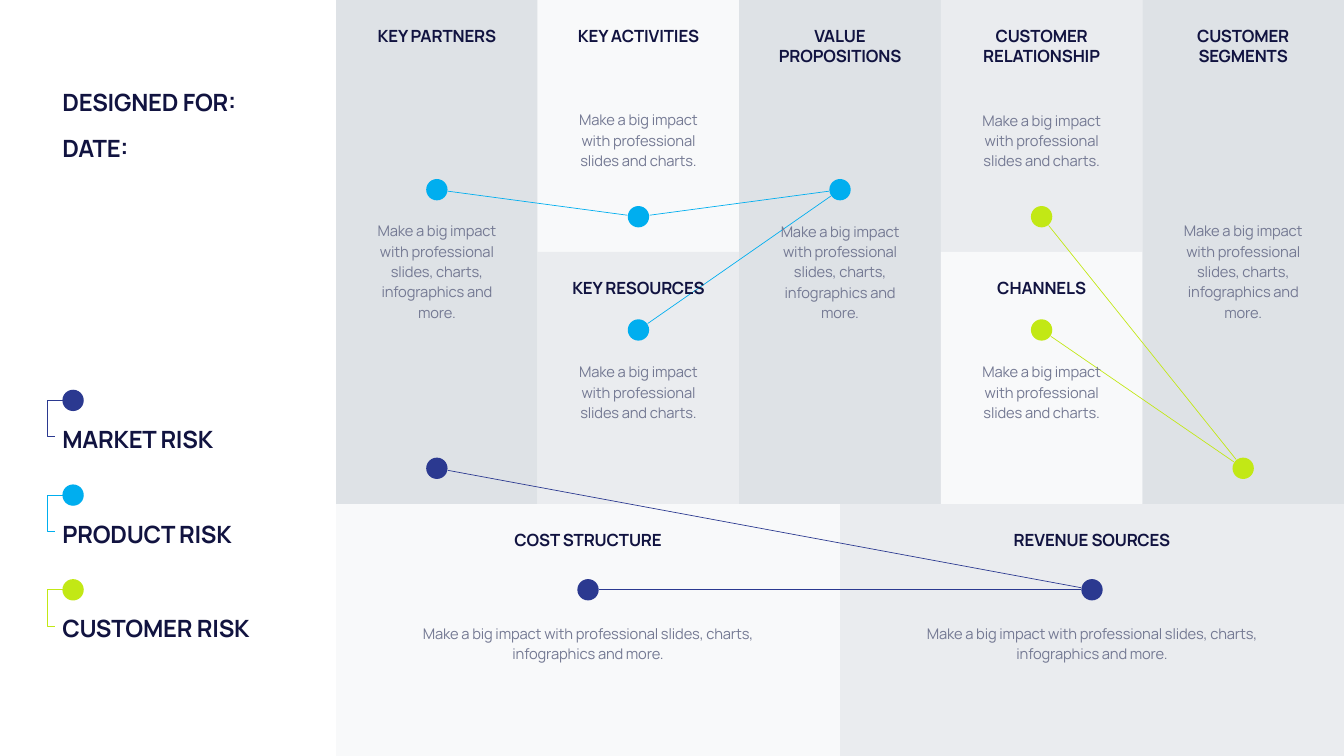
import math

import pptx
import pptx.dml.color
import pptx.enum.shapes
import pptx.enum.text
import pptx.oxml.ns
import pptx.util
from lxml import etree

Pt = pptx.util.Pt
Align = pptx.enum.text.PP_ALIGN
Anchor = pptx.enum.text.MSO_ANCHOR

FONT = "Manrope"
INK, GREY = "111340", "747993"
NAVY, BLUE, LIME = "2B3990", "00AEEF", "C2E815"
PALE, LIGHT, MID = "F8F9FA", "EAECEF", "DEE2E6"

WIDTH, HEIGHT = 1919.5, 1080
LEFT = 480
COLUMN = (WIDTH - LEFT) / 5
HALF = (WIDTH - LEFT) / 2
ROW = 360
DOT = 30.5
LINE_GAP = 16
BODY_LEADING = 29
SHORT = "Make a big impact with professional slides and charts."
LONG = "Make a big impact with professional slides, charts, infographics and more."

# title, first column, top row, row span, fill, body, body lines, body centre
COLUMN_CELLS = [
    ("KEY PARTNERS", 0, 0, 2, MID, LONG, 5, 386),
    ("KEY ACTIVITIES", 1, 0, 1, PALE, SHORT, 3, 198.5),
    ("KEY RESOURCES", 1, 1, 1, LIGHT, SHORT, 3, 558.5),
    ("VALUE\nPROPOSITIONS", 2, 0, 2, MID, LONG, 5, 386.5),
    ("CUSTOMER RELATIONSHIP", 3, 0, 1, LIGHT, SHORT, 3, 199),
    ("CHANNELS", 3, 1, 1, PALE, SHORT, 3, 558.5),
    ("CUSTOMER\nSEGMENTS", 4, 0, 2, MID, LONG, 5, 386),
]
HALF_CELLS = [("COST STRUCTURE", PALE), ("REVENUE SOURCES", LIGHT)]


def column_centre(column):
    return LEFT + (column + 0.5) * COLUMN


def half_centre(half):
    return LEFT + (half + 0.5) * HALF


# Each chain lists the dots that a risk links, in order
CHAINS = [
    (BLUE, [(column_centre(0), 271), (column_centre(1), 309.6),
            (column_centre(2), 271), (column_centre(1), 471.4)]),
    (NAVY, [(column_centre(0), 669), (half_centre(1), 842.5),
            (half_centre(0), 842.5)]),
    (LIME, [(column_centre(3), 309.6), (column_centre(4), 669),
            (column_centre(3), 471.4)]),
]
LEGEND = [("MARKET RISK", NAVY), ("PRODUCT RISK", BLUE), ("CUSTOMER RISK", LIME)]


def rgb(value):
    return pptx.dml.color.RGBColor.from_string(value)


def add_filled(page, kind, left, top, width, height, fill):
    shape = page.shapes.add_shape(kind, Pt(left), Pt(top), Pt(width), Pt(height))
    shape.shadow.inherit = False
    shape.fill.solid()
    shape.fill.fore_color.rgb = rgb(fill)
    shape.line.fill.background()


def add_panel(page, left, top, width, height, fill):
    add_filled(page, pptx.enum.shapes.MSO_SHAPE.RECTANGLE,
               left, top, width, height, fill)


def add_dot(page, x, y, color):
    add_filled(page, pptx.enum.shapes.MSO_SHAPE.OVAL,
               x - DOT / 2, y - DOT / 2, DOT, DOT, color)


def add_link(page, start, end, color):
    """Draw a line between two dots, stopping just short of each."""
    (x1, y1), (x2, y2) = start, end
    length = math.dist(start, end)
    dx, dy = LINE_GAP * (x2 - x1) / length, LINE_GAP * (y2 - y1) / length
    line = page.shapes.add_connector(
        pptx.enum.shapes.MSO_CONNECTOR.STRAIGHT,
        Pt(x1 + dx), Pt(y1 + dy), Pt(x2 - dx), Pt(y2 - dy))
    line.line.color.rgb = rgb(color)
    line.line.width = Pt(1)
    etree.SubElement(line._element.spPr, pptx.oxml.ns.qn("a:effectLst"))


def add_bracket(page, x, y, color):
    """Draw the open hook that joins a legend dot to its label."""
    builder = page.shapes.build_freeform(Pt(x), Pt(y))
    hook = [(x - 37.4, y), (x - 37.4, y + 52), (x - 26, y + 52)]
    builder.add_line_segments([(Pt(a), Pt(b)) for a, b in hook], close=False)
    shape = builder.convert_to_shape()
    shape.shadow.inherit = False
    shape.fill.background()
    shape.line.color.rgb = rgb(color)
    shape.line.width = Pt(1)


def add_text(page, text, left, top, width, height, size, color=INK, bold=True,
             align=Align.CENTER, anchor=Anchor.TOP, leading=None, tracking=-20):
    box = page.shapes.add_textbox(Pt(left), Pt(top), Pt(width), Pt(height))
    frame = box.text_frame
    frame.word_wrap = True
    frame.auto_size = pptx.enum.text.MSO_AUTO_SIZE.SHAPE_TO_FIT_TEXT
    frame.vertical_anchor = anchor
    frame.text = text
    for para in frame.paragraphs:
        para.alignment = align
        if leading:
            para.line_spacing = Pt(leading)
        font = para.font
        font.name, font.size, font.bold = FONT, Pt(size), bold
        font.color.rgb = rgb(color)
        font._rPr.set("spc", str(tracking))


def add_label(page, text, top, anchor=Anchor.TOP):
    add_text(page, text, 82, top, 324, 48, 34, align=Align.LEFT,
             anchor=anchor, tracking=-30)


def add_cell_text(page, title, body, centre, width, top, lines, body_centre):
    left = centre - width / 2
    title_height = 65.5 if title.startswith(("VALUE", "CUSTOMER")) else 36
    add_text(page, title, left, top + 33, width, title_height, 24)
    body_height = lines * BODY_LEADING + 7.2
    add_text(page, body, left, body_centre - body_height / 2, width, body_height,
             21, GREY, bold=False, anchor=Anchor.MIDDLE, leading=BODY_LEADING)


def add_panels(page):
    for half, (_, fill) in enumerate(HALF_CELLS):
        add_panel(page, LEFT + half * HALF, 2 * ROW, HALF, ROW, fill)
    for _, column, row, span, fill, *_ in COLUMN_CELLS:
        add_panel(page, LEFT + column * COLUMN, row * ROW, COLUMN, span * ROW, fill)


def add_chains(page):
    for color, dots in CHAINS:
        for x, y in dots:
            add_dot(page, x, y, color)
        for start, end in zip(dots, dots[1:]):
            add_link(page, start, end, color)


def add_legend(page):
    for index, (name, color) in enumerate(LEGEND):
        x, y = 104.4, 572 + 135.3 * index
        add_dot(page, x, y, color)
        add_bracket(page, x, y, color)
        add_label(page, name, y + 31.3)


def add_cell_texts(page):
    for title, column, row, _, _, body, lines, body_centre in COLUMN_CELLS:
        add_cell_text(page, title, body, column_centre(column), 215,
                      row * ROW, lines, body_centre)
    for half, (title, _) in enumerate(HALF_CELLS):
        add_cell_text(page, title, LONG, half_centre(half), 559.5,
                      2 * ROW, 2, 917.3)


def main():
    deck = pptx.Presentation()
    deck.slide_width, deck.slide_height = Pt(WIDTH), Pt(HEIGHT)
    page = deck.slides.add_slide(deck.slide_layouts[6])
    add_panels(page)
    add_chains(page)
    add_label(page, "DESIGNED FOR:", 121, Anchor.MIDDLE)
    add_label(page, "DATE:", 187, Anchor.MIDDLE)
    add_legend(page)
    add_cell_texts(page)
    deck.save("out.pptx")


if __name__ == "__main__":
    main()
